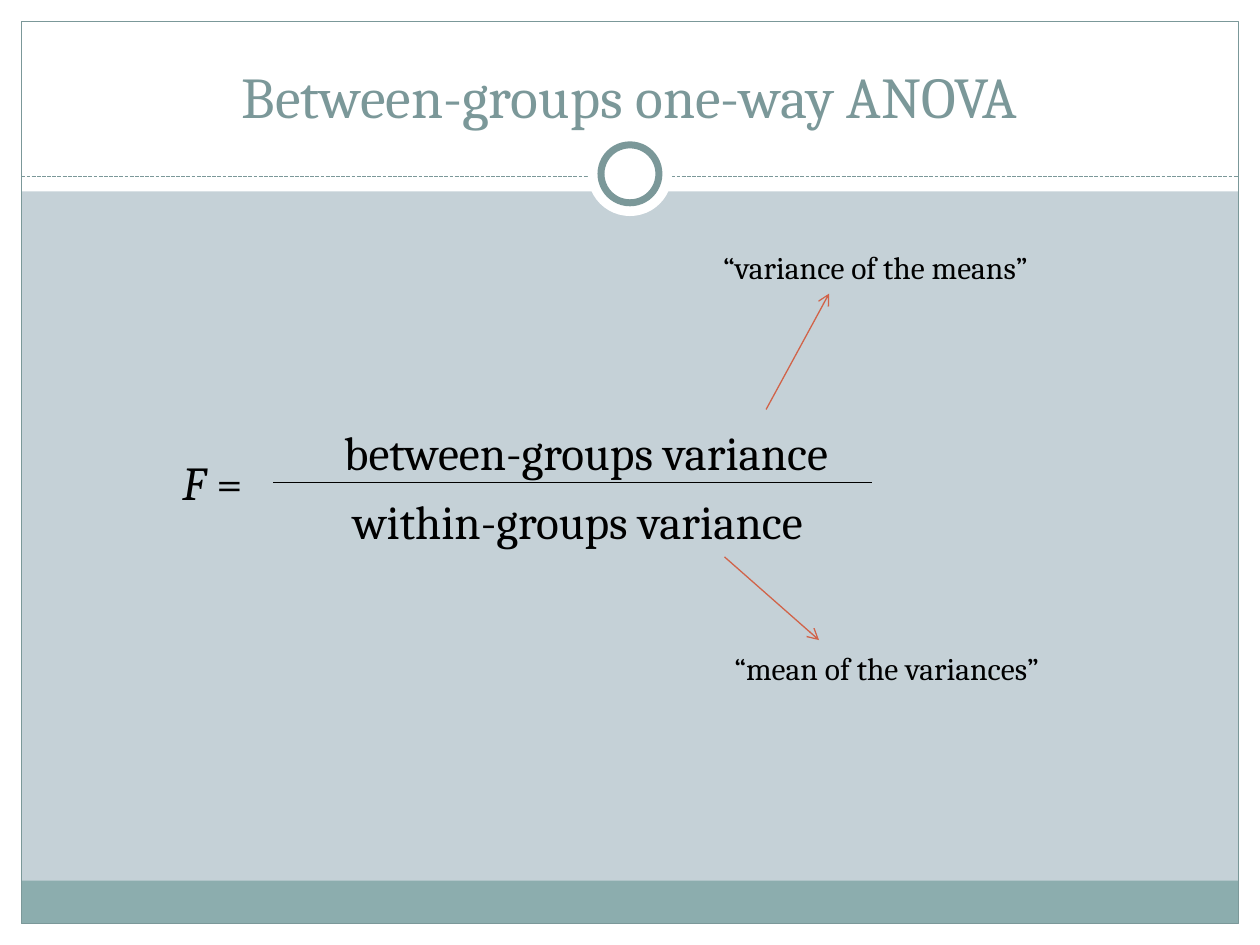
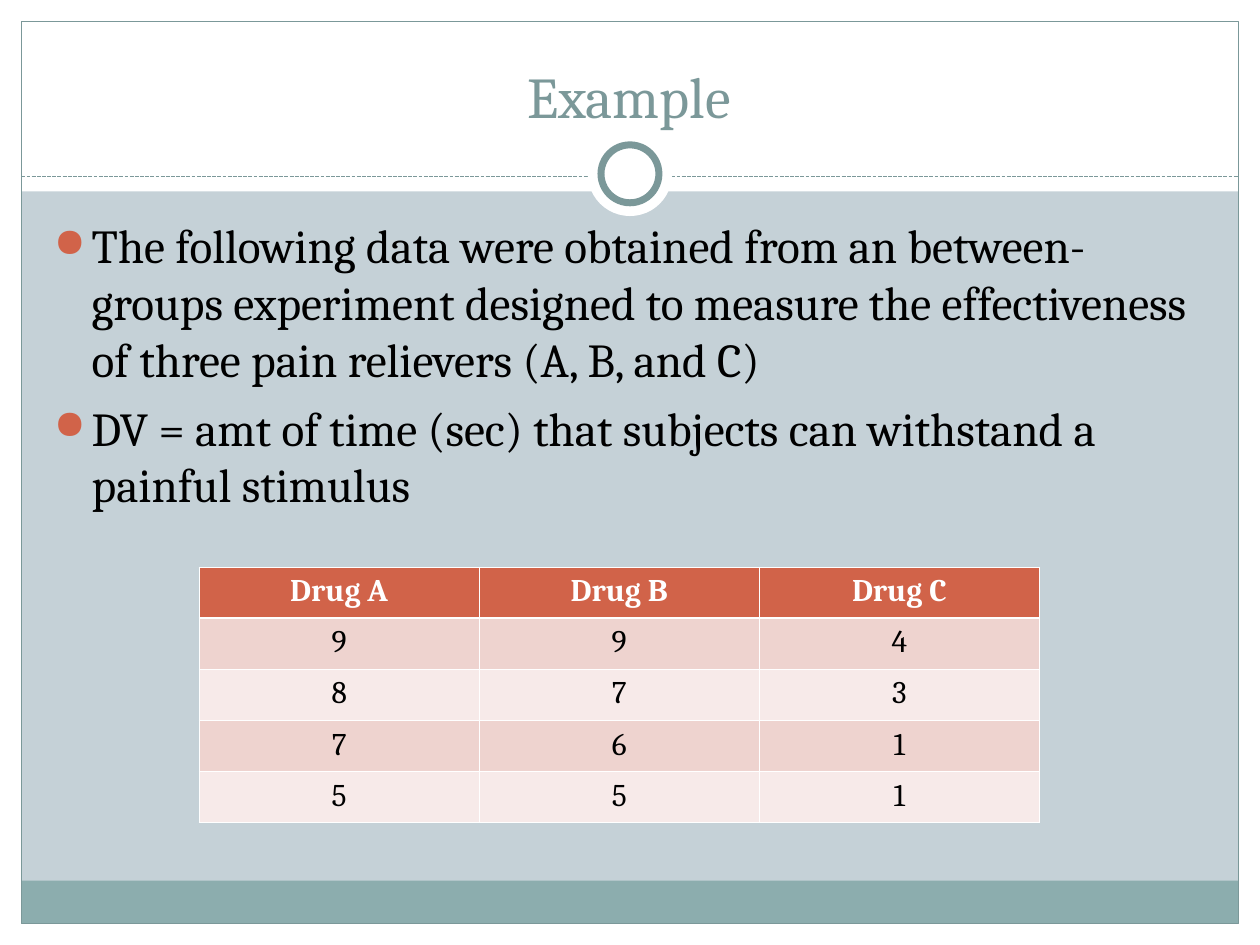
from dataclasses import dataclass

from lxml import etree
from pptx import Presentation
from pptx.dml.color import RGBColor
from pptx.enum.dml import MSO_LINE
from pptx.enum.shapes import MSO_CONNECTOR, MSO_SHAPE
from pptx.enum.text import MSO_ANCHOR, MSO_AUTO_SIZE, PP_ALIGN
from pptx.oxml.ns import qn
from pptx.util import Inches, Pt

RECTANGLE, OVAL = MSO_SHAPE.RECTANGLE, MSO_SHAPE.OVAL
STRAIGHT = MSO_CONNECTOR.STRAIGHT
DASHED = MSO_LINE.SQUARE_DOT
BOTTOM = MSO_ANCHOR.BOTTOM
FIT_TEXT = MSO_AUTO_SIZE.SHAPE_TO_FIT_TEXT
LEFT, CENTER = PP_ALIGN.LEFT, PP_ALIGN.CENTER


@dataclass(frozen=True)
class Theme:
    font: str = "Cambria"
    title_size: int = 33
    body_size: int = 27
    label_size: int = 18
    background: str = "C5D1D7"
    footer: str = "8CADAE"
    frame: str = "7B9899"
    accent: str = "D16349"
    white: str = "FFFFFF"
    black: str = "000000"
    bands: tuple = ("EED3CF", "F7EAE9")
    thin: float = 0.75
    ring: float = 4
    cell_line: float = 0.45
    header_line: float = 1.47
    paragraph_gap: float = 6.8


THEME = Theme()
WIDTH, HEIGHT = 10, 7.5
MARGIN = 0.17
HEADER_HEIGHT, FOOTER_HEIGHT = 1.52, 0.34
RULE_Y, RING_Y = 1.4, 1.38
TITLE_AREA = (0.33, 0.25, 9.33, 0.83)
BODY_AREA = (0.33, 1.67, 9.3, 5)

FORMULA = {
    "title": "Between-groups one-way ANOVA",
    "fraction": ["between-groups variance", "within-groups variance"],
    "fraction_inset": (2.4, 1.69),
    "denominator_shift": 0.07,
    "bar": (2.17, 3.83, 6.92, 3.83),
    "symbol": [("F ", True), ("=", False)],
    "symbol_area": (1.35, 3.55, 0.73, 0.55),
    "remarks": [
        ("“variance of the means”", (5.64, 1.92), (6.08, 3.25, 6.58, 2.33)),
        ("“mean of the variances”", (5.73, 5.1), (5.75, 4.42, 6.5, 5.08)),
    ],
    "remark_size": (3.06, 0.4),
}
EXAMPLE = {
    "title": "Example",
    "points": [
        "The following data were obtained from an between-groups experiment designed "
        "to measure the effectiveness of three pain relievers (A, B, and C)",
        "DV = amt of time (sec) that subjects can withstand a painful stimulus",
    ],
    "scores": [
        ("Drug A", "Drug B", "Drug C"),
        (9, 9, 4),
        (8, 7, 3),
        (7, 6, 1),
        (5, 5, 1),
    ],
    "scores_area": (1.58, 4.5, 6.67, 2.03),
}


def rgb(color):
    return RGBColor.from_string(color)


def inches(lengths):
    return [Inches(length) for length in lengths]


def element(parent, tag, **attributes):
    return etree.SubElement(parent, qn(tag), attributes)


def add_panel(page, kind, area, fill=None, line=None, weight=THEME.thin):
    panel = page.shapes.add_shape(kind, *inches(area))
    panel.shadow.inherit = False
    if fill:
        panel.fill.solid()
        panel.fill.fore_color.rgb = rgb(fill)
    else:
        panel.fill.background()
    if line:
        panel.line.color.rgb = rgb(line)
        panel.line.width = Pt(weight)
    else:
        panel.line.fill.background()


def add_circle(page, diameter, **style):
    area = ((WIDTH - diameter) / 2, RING_Y - diameter / 2, diameter, diameter)
    add_panel(page, OVAL, area, THEME.white, **style)


def add_line(page, ends, color, dash=None, arrow=False):
    line = page.shapes.add_connector(STRAIGHT, *inches(ends))
    line.line.color.rgb = rgb(color)
    line.line.width = Pt(THEME.thin)
    if dash:
        line.line.dash_style = dash
    if arrow:
        element(line.line._get_or_add_ln(), "a:tailEnd", type="arrow")
    element(line._element.spPr, "a:effectLst")


def style_text(para, size, color, align=LEFT, bold=False):
    para.alignment = align
    para.font.name = THEME.font
    para.font.size = Pt(size)
    para.font.bold = bold
    para.font.color.rgb = rgb(color)


def add_bullet(para):
    properties = para._p.get_or_add_pPr()
    properties.set("marL", str(Inches(0.3)))
    properties.set("indent", str(Inches(-0.3)))
    color = element(properties, "a:buClr")
    element(color, "a:srgbClr", val=THEME.accent)
    element(properties, "a:buSzPct", val="85000")
    element(properties, "a:buChar", char="●")


def add_text(page, area, lines, size=THEME.body_size, color=THEME.black,
             align=LEFT, wrap=True, bullets=False):
    box = page.shapes.add_textbox(*inches(area))
    frame = box.text_frame
    frame.word_wrap = wrap
    if not wrap:
        frame.auto_size = FIT_TEXT
    for index, line in enumerate(lines):
        para = frame.paragraphs[0] if index == 0 else frame.add_paragraph()
        if bullets:
            add_bullet(para)
        if index:
            para.space_before = Pt(THEME.paragraph_gap)
        style_text(para, size, color, align)
        for text, italic in [(line, False)] if isinstance(line, str) else line:
            span = para.add_run()
            span.text = text
            if italic:
                span.font.italic = True
    return frame


def add_page(deck, title):
    page = deck.slides.add_slide(deck.slide_layouts[6])
    page.background.fill.solid()
    page.background.fill.fore_color.rgb = rgb(THEME.background)
    inner_width, inner_height = WIDTH - 2 * MARGIN, HEIGHT - 2 * MARGIN
    for area in [
        (0, HEIGHT - MARGIN, WIDTH, MARGIN),
        (0, 0, WIDTH, HEADER_HEIGHT),
        (0, 0, MARGIN, HEIGHT),
        (WIDTH - MARGIN, 0, MARGIN, HEIGHT),
    ]:
        add_panel(page, RECTANGLE, area, THEME.white)
    footer_top = HEIGHT - MARGIN - FOOTER_HEIGHT
    add_panel(page, RECTANGLE, (MARGIN, footer_top, inner_width, FOOTER_HEIGHT), THEME.footer)
    add_panel(page, RECTANGLE, (MARGIN, MARGIN, inner_width, inner_height), line=THEME.frame)
    add_line(page, (MARGIN, RULE_Y, WIDTH - MARGIN, RULE_Y), THEME.frame, dash=DASHED)
    add_circle(page, 0.67)
    add_circle(page, 0.46, line=THEME.frame, weight=THEME.ring)
    frame = add_text(page, TITLE_AREA, [title], THEME.title_size, THEME.frame, CENTER)
    frame.vertical_anchor = BOTTOM
    return page


def add_borders(cell, row):
    properties = cell._tc.get_or_add_tcPr()
    weights = {
        "a:lnL": THEME.cell_line,
        "a:lnR": THEME.cell_line,
        "a:lnT": THEME.header_line if row == 1 else THEME.cell_line,
        "a:lnB": THEME.header_line if row == 0 else THEME.cell_line,
    }
    for tag, weight in weights.items():
        border = element(properties, tag, w=str(Pt(weight)))
        element(element(border, "a:solidFill"), "a:srgbClr", val=THEME.white)


def add_scores(page, rows, area):
    table = page.shapes.add_table(len(rows), len(rows[0]), *inches(area)).table
    for row, values in enumerate(rows):
        header = row == 0
        for column, value in enumerate(values):
            cell = table.cell(row, column)
            add_borders(cell, row)
            cell.fill.solid()
            cell.fill.fore_color.rgb = rgb(THEME.accent if header else THEME.bands[(row - 1) % 2])
            cell.text = str(value)
            color = THEME.white if header else THEME.black
            style_text(cell.text_frame.paragraphs[0], THEME.label_size, color, CENTER, header)


def build_formula(deck, content):
    page = add_page(deck, content["title"])
    fraction = add_text(page, BODY_AREA, content["fraction"])
    fraction.margin_left, fraction.margin_top = inches(content["fraction_inset"])
    denominator = fraction.paragraphs[1]._p.get_or_add_pPr()
    denominator.set("marL", str(Inches(content["denominator_shift"])))
    add_line(page, content["bar"], THEME.black)
    add_text(page, content["symbol_area"], [content["symbol"]], wrap=False)
    for remark, corner, arrow in content["remarks"]:
        add_text(page, corner + content["remark_size"], [remark], THEME.label_size, wrap=False)
        add_line(page, arrow, THEME.accent, arrow=True)


def build_example(deck, content):
    page = add_page(deck, content["title"])
    add_text(page, BODY_AREA, content["points"], bullets=True)
    add_scores(page, content["scores"], content["scores_area"])


def main():
    deck = Presentation()
    deck.slide_width, deck.slide_height = inches((WIDTH, HEIGHT))
    build_formula(deck, FORMULA)
    build_example(deck, EXAMPLE)
    deck.save("out.pptx")


if __name__ == "__main__":
    main()
